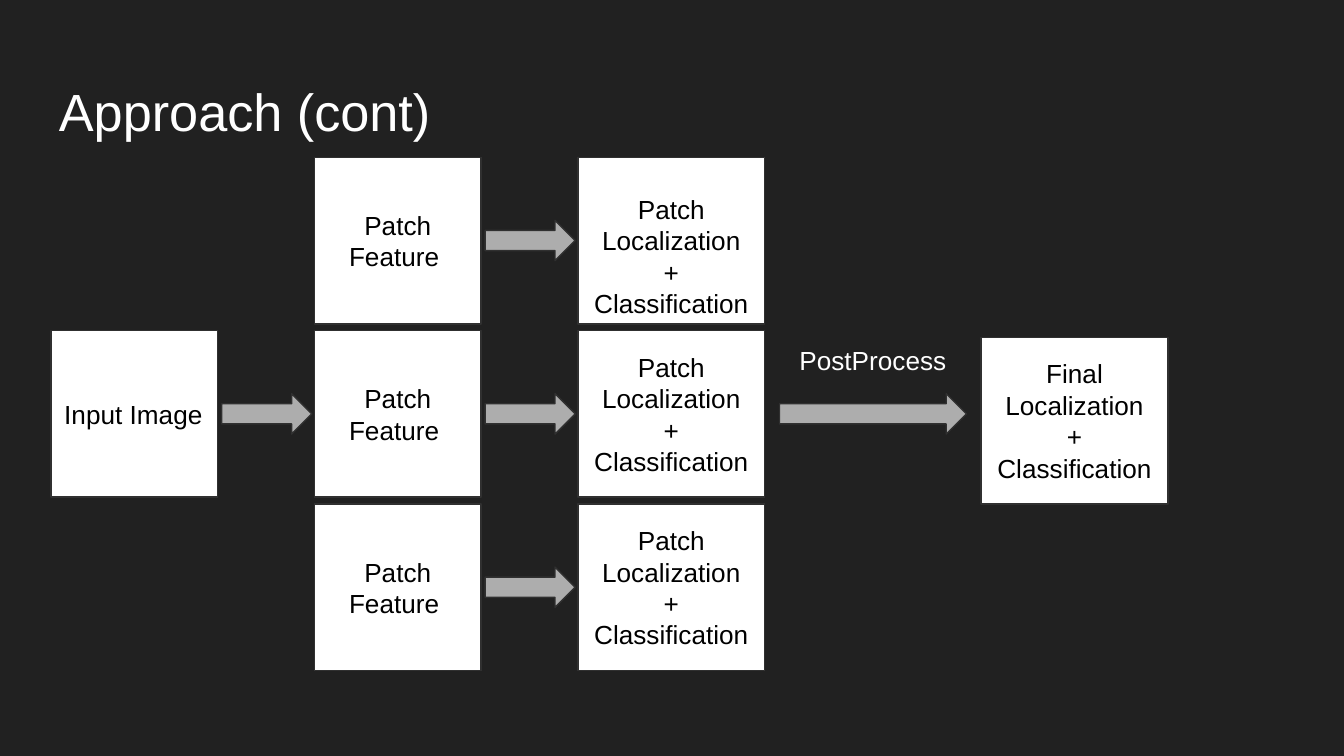
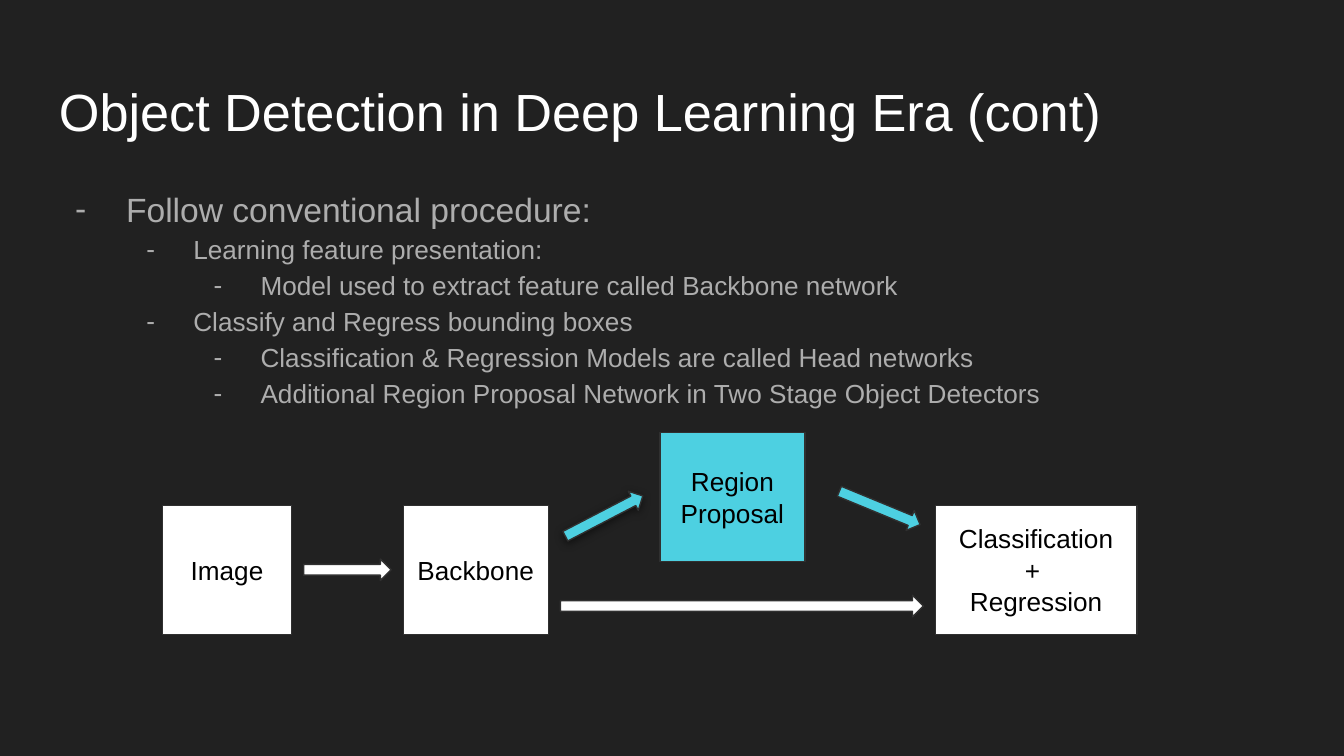
from lxml import etree
from pptx import Presentation
from pptx.dml.color import RGBColor
from pptx.enum.shapes import MSO_SHAPE
from pptx.enum.text import MSO_ANCHOR, PP_ALIGN
from pptx.oxml.ns import qn
from pptx.util import Inches, Pt

RECTANGLE = MSO_SHAPE.RECTANGLE
RIGHT_ARROW = MSO_SHAPE.RIGHT_ARROW
LEFT = PP_ALIGN.LEFT
CENTER = PP_ALIGN.CENTER
TOP = MSO_ANCHOR.TOP
MIDDLE = MSO_ANCHOR.MIDDLE

FONT = "Arial"
BACKGROUND = "212121"
WHITE = "FFFFFF"
BLACK = "000000"
GREY = "ADADAD"
CYAN = "4DD0E1"
OUTLINE = "303030"
INSET = 0.1
LINE_HEIGHT = 0.23

TITLE_BOX = (0.34, 0.49, 9.32, 0.63)
BODY_BOX = (0.34, 1.26, 9.32, 3.74)
APPROACH_BOX = (0.38, 1.17, 8.31, 3.82)
DETECTOR_BOX = (1.21, 3.22, 7.25, 1.5)

PATCH_FEATURES = [["Patch", "Feature "], ["Patch Feature "], ["Patch Feature "]]
LOCALIZATION = ["Localization", "+", "Classification"]
OUTLINE_ITEMS = [
    (0, "Follow conventional procedure:"),
    (1, "Learning feature presentation:"),
    (2, "Model used to extract feature called Backbone network"),
    (1, "Classify and Regress bounding boxes"),
    (2, "Classification & Regression Models are called Head networks"),
    (2, "Additional Region Proposal Network in Two Stage Object Detectors"),
]


def rgb(value):
    return RGBColor.from_string(value)


def inches(box):
    return [Inches(length) for length in box]


def set_frame(frame, anchor=TOP):
    frame.word_wrap = True
    frame.vertical_anchor = anchor
    frame.margin_left = frame.margin_right = Inches(INSET)
    frame.margin_top = frame.margin_bottom = Inches(INSET)


def add_paragraph(frame, index):
    return frame.paragraphs[0] if index == 0 else frame.add_paragraph()


def add_run(paragraph, text, size, color):
    run = paragraph.add_run()
    run.text = text
    run.font.name = FONT
    run.font.size = Pt(size)
    run.font.color.rgb = rgb(color)


def write(frame, lines, size, color, align=LEFT, anchor=TOP):
    set_frame(frame, anchor)
    for index, line in enumerate(lines):
        paragraph = add_paragraph(frame, index)
        paragraph.alignment = align
        add_run(paragraph, line, size, color)


def add_label(slide, box, text, size, align=LEFT):
    label = slide.shapes.add_textbox(*inches(box))
    write(label.text_frame, [text], size, WHITE, align)


def add_outlined(shapes, preset, box, fill):
    outlined = shapes.add_shape(preset, *inches(box))
    outlined.shadow.inherit = False
    outlined.fill.solid()
    outlined.fill.fore_color.rgb = rgb(fill)
    outlined.line.color.rgb = rgb(OUTLINE)
    outlined.line.width = Pt(0.75)
    return outlined


def add_stage(shapes, box, lines, fill=WHITE, align=CENTER):
    stage = add_outlined(shapes, RECTANGLE, box, fill)
    write(stage.text_frame, lines, 14, BLACK, align, MIDDLE)
    return stage


def add_arrow(shapes, box, fill, rotation=0):
    arrow = add_outlined(shapes, RIGHT_ARROW, box, fill)
    arrow.rotation = rotation
    return arrow


def add_drop_shadow(shape):
    effects = shape._element.spPr.find(qn("a:effectLst"))
    shadow = etree.SubElement(
        effects, qn("a:outerShdw"), blurRad=str(Pt(4.5)), dist=str(Pt(1.5)),
        dir="5400000", algn="bl", rotWithShape="0")
    color = etree.SubElement(shadow, qn("a:srgbClr"), val=BLACK)
    etree.SubElement(color, qn("a:alpha"), val="50000")


def add_titled_slide(prs, title):
    slide = prs.slides.add_slide(prs.slide_layouts[6])
    add_label(slide, TITLE_BOX, title, 28)
    return slide


def add_approach_flow(slide, box):
    left, top, width, height = box
    shapes = slide.shapes
    side, wide, arrow_height = 1.24, 1.39, 0.3
    pitch = (height - side) / 2
    column_step = 1.96
    feature_left = left + column_step
    patch_left = left + 2 * column_step
    middle = top + pitch
    arrow_drop = (side - arrow_height) / 2
    arrow_width = 0.67

    def add_step_arrow(stage_left, row_top):
        arrow_left = stage_left + side + 0.03
        add_arrow(shapes, (arrow_left, row_top + arrow_drop, arrow_width, arrow_height), GREY)

    add_stage(shapes, (left, middle, side, side), ["Input Image"], align=LEFT)
    add_step_arrow(left, middle)
    for row, feature in enumerate(PATCH_FEATURES):
        row_top = top + row * pitch
        add_stage(shapes, (feature_left, row_top, side, side), feature)
        add_step_arrow(feature_left, row_top)
        patch = add_stage(shapes, (patch_left, row_top, wide, side), ["Patch"] + LOCALIZATION)
        if row == 0:
            patch.text_frame.margin_top = Inches(LINE_HEIGHT)
            patch.text_frame.margin_bottom = 0

    process_left = patch_left + wide + 0.11
    add_arrow(shapes, (process_left, middle + arrow_drop, wide, arrow_height), GREY)
    add_label(slide, (process_left, middle, wide, 0.38), "PostProcess", 14, CENTER)
    add_stage(shapes, (left + width - wide, middle + 0.05, wide, side), ["Final"] + LOCALIZATION)


def add_outline(slide, box):
    frame = slide.shapes.add_textbox(*inches(box)).text_frame
    set_frame(frame)
    for index, (level, text) in enumerate(OUTLINE_ITEMS):
        paragraph = add_paragraph(frame, index)
        paragraph.level = level
        paragraph.line_spacing = 1.15
        properties = paragraph._p.get_or_add_pPr()
        properties.set("marL", str(Inches(0.5 * (level + 1))))
        properties.set("indent", str(Inches(-0.35 if level else -0.38)))
        bullet_color = etree.SubElement(properties, qn("a:buClr"))
        etree.SubElement(bullet_color, qn("a:srgbClr"), val=GREY)
        etree.SubElement(properties, qn("a:buFont"), typeface=FONT)
        etree.SubElement(properties, qn("a:buChar"), char="-")
        add_run(paragraph, text, 14 if level else 18, GREY)


def add_detector_flow(slide, box):
    left, top, width, height = box
    shapes = slide.shapes.add_group_shape().shapes
    stage_height, arrow_height, gap = 0.96, 0.16, 0.09
    image_width, network_width, head_width = 0.96, 1.08, 1.5
    arrow_width = 0.65
    base = top + height - stage_height
    backbone_left = left + image_width + arrow_width + 2 * gap
    backbone_right = backbone_left + network_width
    proposal_left = backbone_right + arrow_width + 2 * gap
    head_left = left + width - head_width
    exit_left = backbone_right + gap

    add_stage(shapes, (left, base, image_width, stage_height), ["Image"])
    add_stage(shapes, (backbone_left, base, network_width, stage_height), ["Backbone"])
    add_stage(shapes, (proposal_left, top, network_width, stage_height), ["Region Proposal"], CYAN)
    add_stage(shapes, (head_left, base, head_width, stage_height),
              ["Classification", "+ ", "Regression"])

    add_arrow(shapes, (left + image_width + gap, base + 0.4, arrow_width, arrow_height), WHITE)
    add_arrow(shapes, (exit_left, base + 0.67, head_left - gap - exit_left, arrow_height), WHITE)
    rising = add_arrow(shapes, (exit_left, base, arrow_width, arrow_height), CYAN, 332.5)
    add_drop_shadow(rising)
    add_arrow(shapes, (head_left - gap - arrow_width, base - 0.06, arrow_width, arrow_height),
              CYAN, 22.4)


def main():
    prs = Presentation()
    prs.slide_width = Inches(10)
    prs.slide_height = Inches(10 * 9 / 16)
    backdrop = prs.slide_master.background.fill
    backdrop.solid()
    backdrop.fore_color.rgb = rgb(BACKGROUND)

    approach = add_titled_slide(prs, "Approach (cont)")
    add_approach_flow(approach, APPROACH_BOX)

    detection = add_titled_slide(prs, "Object Detection in Deep Learning Era (cont)")
    add_outline(detection, BODY_BOX)
    add_detector_flow(detection, DETECTOR_BOX)

    prs.save("out.pptx")


if __name__ == "__main__":
    main()
